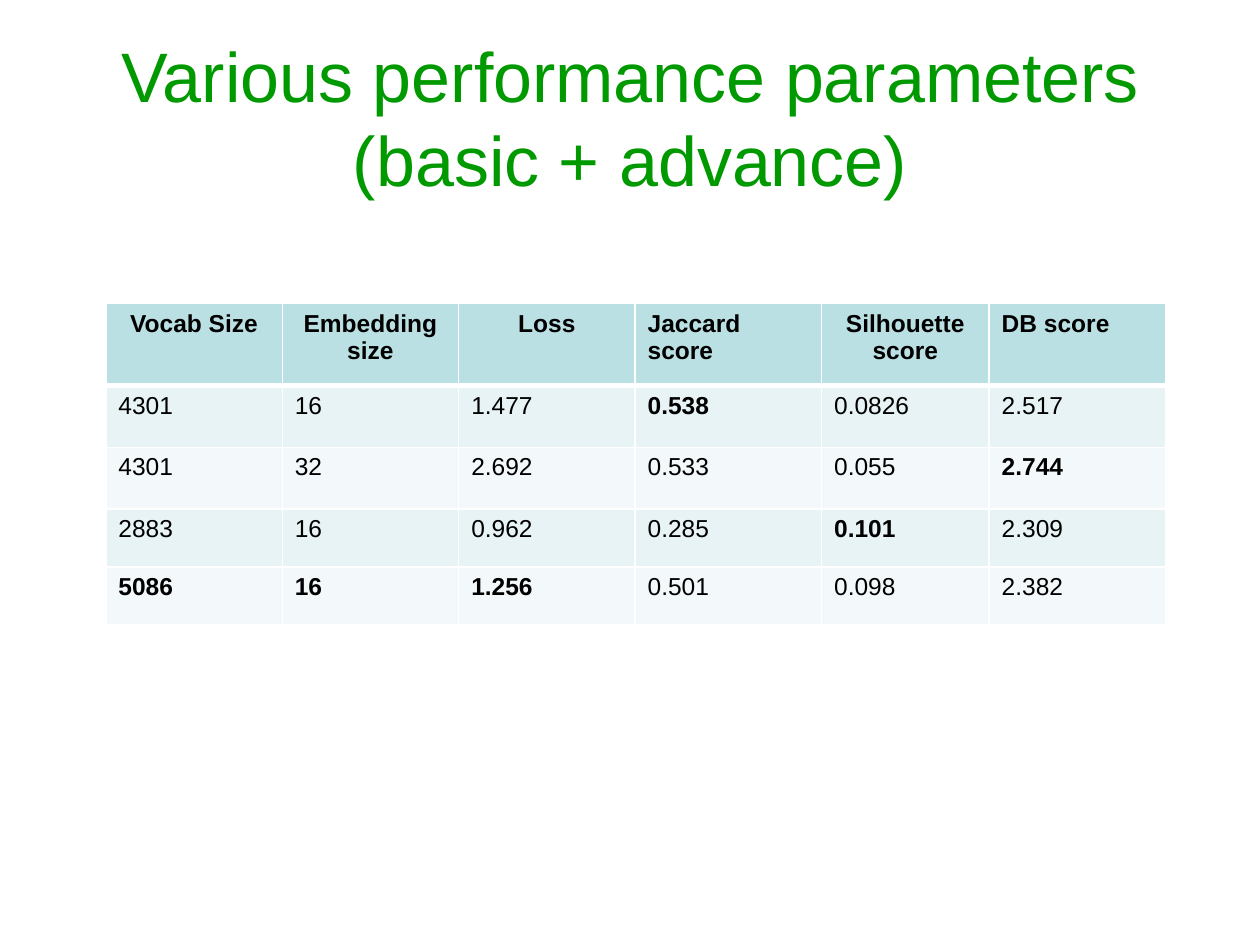
from lxml.etree import SubElement
from pptx import Presentation
from pptx.dml.color import RGBColor
from pptx.enum.text import MSO_ANCHOR, PP_ALIGN
from pptx.oxml.ns import qn
from pptx.util import Inches, Pt


def style_font(font, size, color, bold=False):
    font.name = "Arial"
    font.size = Pt(size)
    font.bold = bold
    font.color.rgb = RGBColor.from_string(color)


def add_border(cell, side, points):
    line = SubElement(cell._tc.get_or_add_tcPr(), qn(f"a:{side}"), w=str(Pt(points)))
    fill = SubElement(line, qn("a:solidFill"))
    SubElement(fill, qn("a:srgbClr"), val="FFFFFF")


presentation = Presentation()
presentation.slide_width = Inches(10)
presentation.slide_height = Inches(7.5)
slide = presentation.slides.add_slide(presentation.slide_layouts[6])

title = slide.shapes.add_textbox(Inches(0.5), Inches(0.3), Inches(9), Inches(1.25))
title_frame = title.text_frame
title_frame.word_wrap = True
title_frame.vertical_anchor = MSO_ANCHOR.MIDDLE
paragraph = title_frame.paragraphs[0]
paragraph.text = "Various performance parameters (basic + advance)"
paragraph.alignment = PP_ALIGN.CENTER
style_font(paragraph.font, 40, "009900")

scores = [
    ["Vocab Size", "Embedding size", "Loss", "Jaccard score", "Silhouette score", "DB score"],
    ["4301", "16", "1.477", "0.538", "0.0826", "2.517"],
    ["4301", "32", "2.692", "0.533", "0.055", "2.744"],
    ["2883", "16", "0.962", "0.285", "0.101", "2.309"],
    ["5086", "16", "1.256", "0.501", "0.098", "2.382"],
]
bold_cells = {(1, 3), (2, 5), (3, 4), (4, 0), (4, 1), (4, 2)}
centered_headers = {0, 1, 2, 4}
column_widths = [1.4, 1.4, 1.4, 1.48, 1.33, 1.4]
row_heights = [0.65, 0.49, 0.49, 0.46, 0.46]
row_fills = ["BBE0E3", "E7F3F4", "F3F9FA", "E7F3F4", "F3F9FA"]

table = slide.shapes.add_table(
    len(scores), len(column_widths), Inches(0.84), Inches(2.41), Inches(8.42), Inches(2.55)
).table
for column, width in zip(table.columns, column_widths):
    column.width = Inches(width)
for row, height in zip(table.rows, row_heights):
    row.height = Inches(height)

for row_index, values in enumerate(scores):
    is_header = row_index == 0
    for column_index, value in enumerate(values):
        cell = table.cell(row_index, column_index)
        add_border(cell, "lnL", 1)
        add_border(cell, "lnR", 1)
        add_border(cell, "lnT", 3 if row_index == 1 else 1)
        add_border(cell, "lnB", 3 if is_header else 1)
        cell.fill.solid()
        cell.fill.fore_color.rgb = RGBColor.from_string(row_fills[row_index])
        cell.text = value
        paragraph = cell.text_frame.paragraphs[0]
        if is_header and column_index in centered_headers:
            paragraph.alignment = PP_ALIGN.CENTER
        bold = is_header or (row_index, column_index) in bold_cells
        style_font(paragraph.font, 14, "000000", bold)

presentation.save("out.pptx")
